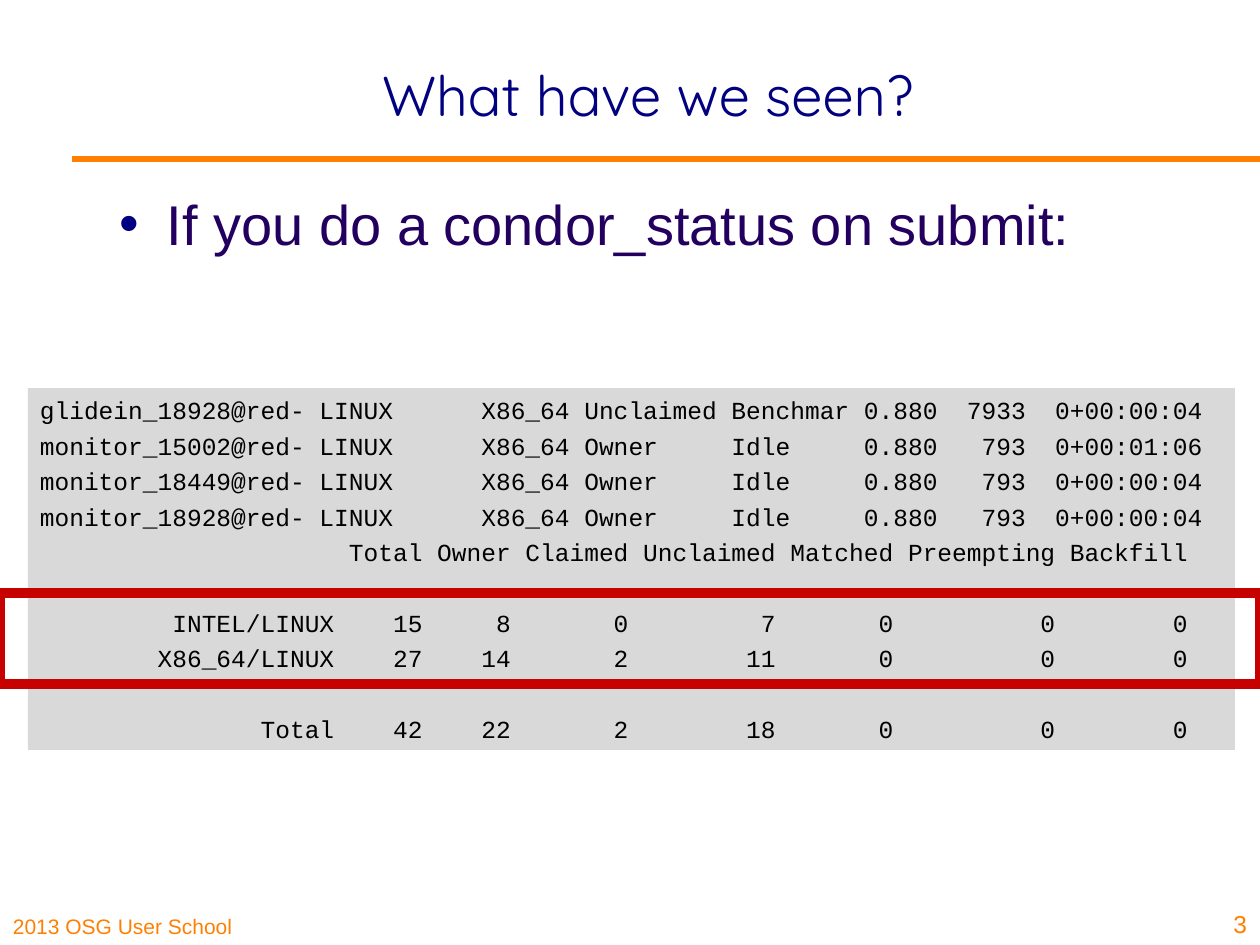
from lxml.etree import SubElement
from pptx import Presentation
from pptx.dml.color import RGBColor
from pptx.enum.shapes import MSO_CONNECTOR, MSO_SHAPE
from pptx.enum.text import MSO_ANCHOR, PP_ALIGN
from pptx.oxml.ns import qn
from pptx.util import Pt

# Content
TITLE = "What have we seen?"
BULLET = "If you do a condor_status on submit:"
FOOTER = "2013 OSG User School"
PAGE_NUMBER = "3"
STATUS_BLOCKS = [
    [
        "glidein_18928@red- LINUX      X86_64 Unclaimed Benchmar 0.880  7933  0+00:00:04",
        "monitor_15002@red- LINUX      X86_64 Owner     Idle     0.880   793  0+00:01:06",
        "monitor_18449@red- LINUX      X86_64 Owner     Idle     0.880   793  0+00:00:04",
        "monitor_18928@red- LINUX      X86_64 Owner     Idle     0.880   793  0+00:00:04",
        "                     Total Owner Claimed Unclaimed Matched Preempting Backfill",
    ],
    [
        "         INTEL/LINUX    15     8       0         7       0          0        0",
        "        X86_64/LINUX    27    14       2        11       0          0        0",
    ],
    [
        "               Total    42    22       2        18       0          0        0",
    ],
]
COLORS = {"orange": "FF8000", "navy": "000080", "violet": "23005F",
          "black": "000000", "gray": "D9D9D9", "red": "C70000"}
LINE_GAP, BLOCK_GAP = 3.5, 23.5  # points before a line, before a new block


def px(value):
    return round(value * 914400 / 126)


def color(name):
    return RGBColor.from_string(COLORS[name])


def style(para, font, size, shade, align=PP_ALIGN.LEFT):
    para.alignment = align
    for span in para.runs:
        span.font.name = font
        span.font.size = Pt(size)
        span.font.color.rgb = color(shade)


def set_frame(frame, anchor, insets):
    frame.word_wrap = True
    frame.vertical_anchor = anchor
    (frame.margin_left, frame.margin_top,
     frame.margin_right, frame.margin_bottom) = map(px, insets)


def add_text(page, area, text, font, size, shade, align=PP_ALIGN.LEFT,
             anchor=MSO_ANCHOR.BOTTOM, insets=(13, 6, 13, 6)):
    box = page.shapes.add_textbox(*map(px, area))
    set_frame(box.text_frame, anchor, insets)
    para = box.text_frame.paragraphs[0]
    para.text = text
    style(para, font, size, shade, align)
    return para


def add_bullet(para, shade, indent):
    props = para._p.get_or_add_pPr()
    props.set("marL", str(px(indent)))
    props.set("indent", str(-px(indent)))
    bullet_color = SubElement(props, qn("a:buClr"))
    SubElement(bullet_color, qn("a:srgbClr"), val=COLORS[shade])
    SubElement(props, qn("a:buFont"), typeface="Arial")
    SubElement(props, qn("a:buChar"), char="•")


def add_rectangle(page, area):
    box = page.shapes.add_shape(MSO_SHAPE.RECTANGLE, *map(px, area))
    box.shadow.inherit = False
    return box


def main():
    deck = Presentation()
    deck.slide_width, deck.slide_height = px(1260), px(945)
    page = deck.slides.add_slide(deck.slide_layouts[6])

    # Footer and title rule
    add_text(page, (0, 892, 312, 53), FOOTER, "Arial", 12, "orange")
    rule = page.shapes.add_connector(MSO_CONNECTOR.STRAIGHT,
                                     px(72), px(159), px(1260), px(159))
    rule.line.color.rgb = color("orange")
    rule.line.width = Pt(3)
    SubElement(rule._element.spPr, qn("a:effectLst"))

    # Title, bullet and page number
    add_text(page, (169, 15, 958, 158), TITLE, "Quicksand", 32, "navy",
             PP_ALIGN.CENTER, MSO_ANCHOR.MIDDLE)
    bullet = add_text(page, (107, 184, 1071, 646), BULLET, "Arial", 32, "violet",
                      anchor=MSO_ANCHOR.TOP, insets=(13, 5, 13, 5))
    add_bullet(bullet, "navy", 47)
    add_text(page, (1202, 881, 58, 63), PAGE_NUMBER, "Arial", 14, "orange",
             PP_ALIGN.RIGHT)

    # Status listing
    listing = add_rectangle(page, (28, 388, 1207, 362))
    listing.fill.solid()
    listing.fill.fore_color.rgb = color("gray")
    listing.line.fill.background()
    frame = listing.text_frame
    set_frame(frame, MSO_ANCHOR.TOP, (12, 7, 12, 3))
    frame.text = "\n".join(line for block in STATUS_BLOCKS for line in block)
    gaps = [LINE_GAP if row else BLOCK_GAP
            for block in STATUS_BLOCKS for row in range(len(block))]
    gaps[0] = 0
    for para, gap in zip(frame.paragraphs, gaps):
        para.space_before = Pt(gap)
        style(para, "Courier New", 14, "black")

    # Highlight frame
    highlight = add_rectangle(page, (0, 593, 1260, 91))
    highlight.fill.background()
    highlight.line.color.rgb = color("red")
    highlight.line.width = Pt(6)

    deck.save("out.pptx")


if __name__ == "__main__":
    main()
